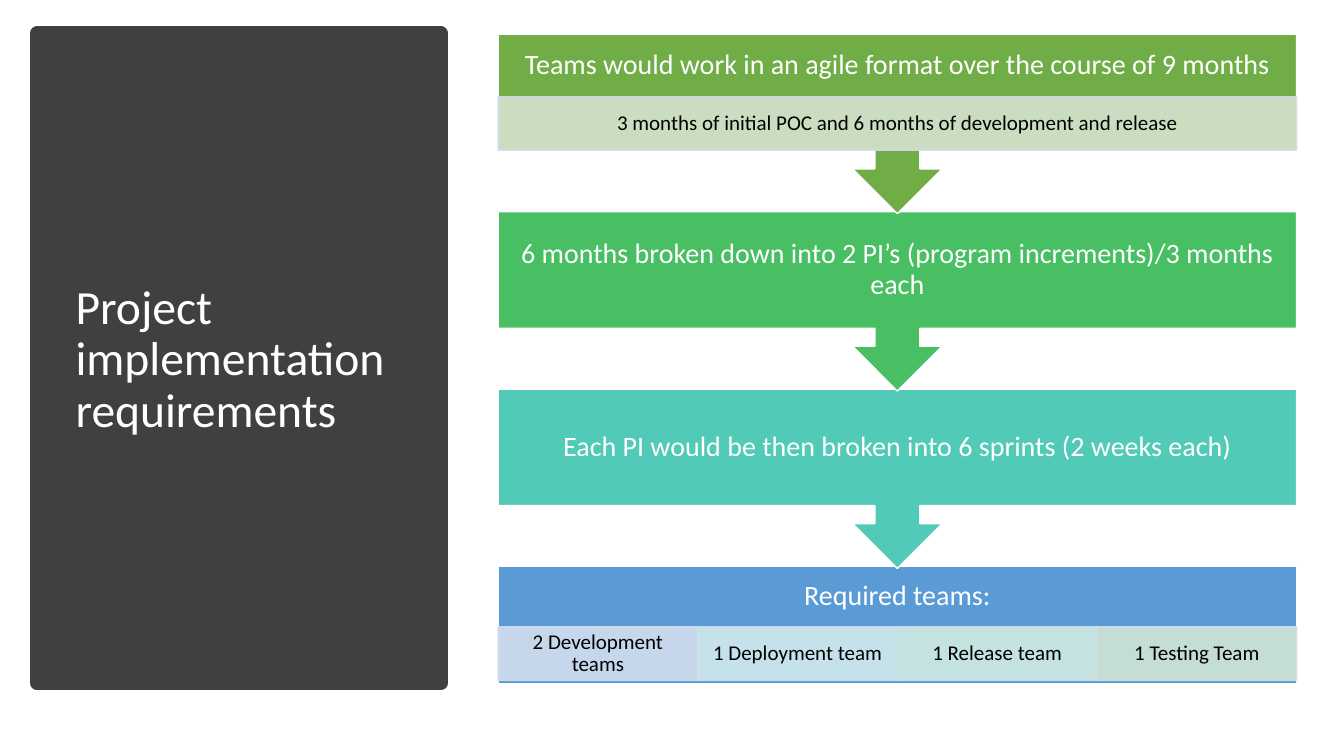
from lxml import etree
from pptx import Presentation
from pptx.dml.color import RGBColor
from pptx.enum.shapes import MSO_SHAPE
from pptx.enum.text import MSO_ANCHOR, PP_ALIGN
from pptx.oxml.ns import qn
from pptx.util import Inches, Pt

COLORS = {
    "panel": "404040", "white": "FFFFFF", "black": "000000",
    "green": "70AD47", "emerald": "49BF64", "teal": "52CAB8", "blue": "5B9BD5",
    "pale_green": "D5E3CF", "pale_blue": "D2DEEF", "pale_cyan": "D1E9ED",
    "pale_teal": "D0EAE1", "pale_mint": "D0E6D4",
}
LEFT, WIDTH = 4.94, 7.92
TOP, PITCH = 0.34, 1.76
BOX_H, CALLOUT_H, DETAIL_H = 1.16, 1.78, 0.53

# heading, colour, offset of the detail row, details as (text, colour)
STEPS = [
    ("Teams would work in an agile format over the course of 9 months", "green", 0.62,
     [("3 months of initial POC and 6 months of development and release", "pale_green")]),
    ("6 months broken down into 2 PI’s (program increments)/3 months each", "emerald", BOX_H, []),
    ("Each PI would be then broken into 6 sprints (2 weeks each)", "teal", BOX_H, []),
    ("Required teams:", "blue", 0.6,
     [("2 Development teams", "pale_blue"), ("1 Deployment team", "pale_cyan"),
      ("1 Release team", "pale_teal"), ("1 Testing Team", "pale_mint")]),
]


def write(shape, text, size, color, align, insets):
    """Fill a shape with one paragraph; insets are left, top, right, bottom."""
    tf = shape.text_frame
    tf.word_wrap = True
    tf.vertical_anchor = MSO_ANCHOR.MIDDLE
    tf.margin_left, tf.margin_top, tf.margin_right, tf.margin_bottom = map(Inches, insets)
    p = tf.paragraphs[0]
    p.text = text
    p.alignment = align
    p.line_spacing = 0.9
    p.font.name = "Calibri"
    p.font.size = Pt(size)
    p.font.color.rgb = RGBColor.from_string(COLORS[color])


def add_block(kind, x, y, w, h, fill, line, alpha=None):
    """Add a filled, outlined shape, see-through where alpha (percent) is given."""
    sp = s.shapes.add_shape(kind, Inches(x), Inches(y), Inches(w), Inches(h))
    sp.shadow.inherit = False
    sp.fill.solid()
    sp.fill.fore_color.rgb = RGBColor.from_string(COLORS[fill])
    sp.line.color.rgb = RGBColor.from_string(COLORS[line])
    sp.line.width = Pt(1)
    if alpha:
        for clr in sp._element.spPr.iter(qn("a:srgbClr")):
            etree.SubElement(clr, qn("a:alpha"), val=str(alpha * 1000))
    return sp


prs = Presentation()
prs.slide_width, prs.slide_height = Inches(13.33), Inches(7.5)
s = prs.slides.add_slide(prs.slide_layouts[5])

panel = add_block(MSO_SHAPE.RECTANGLE, 0.37, 0.33, 4, 6.45, "panel", "panel")
panel.line.width = Pt(10)

title = s.shapes.title
title.left, title.top, title.width, title.height = map(Inches, (0.65, 0.7, 3.46, 5.75))
write(title, "Project implementation requirements", 34, "white", PP_ALIGN.LEFT,
      (0.1, 0.05, 0.1, 0.05))
s.shapes._spTree.append(title._element)  # bring the title in front of the panel

# Built from the bottom up, so each arrow tip lies over the next box
for i, (heading, color, split, details) in reversed(list(enumerate(STEPS))):
    y = TOP + i * PITCH
    if i == len(STEPS) - 1:
        kind, height = MSO_SHAPE.RECTANGLE, BOX_H
    else:
        kind, height = MSO_SHAPE.DOWN_ARROW_CALLOUT, CALLOUT_H
    step = add_block(kind, LEFT, y, WIDTH, height, color, "white")
    write(step, heading, 20, "white", PP_ALIGN.CENTER,
          (0.16, 0.16, 0.16, 0.16 + BOX_H - split))

    for j, (text, pale) in enumerate(details):
        w = WIDTH / len(details)
        detail = add_block(MSO_SHAPE.RECTANGLE, LEFT + j * w, y + split, w, DETAIL_H,
                           pale, "pale_blue", alpha=90)
        write(detail, text, 15, "black", PP_ALIGN.CENTER, (0.12, 0.02, 0.12, 0.02))

prs.save("out.pptx")
